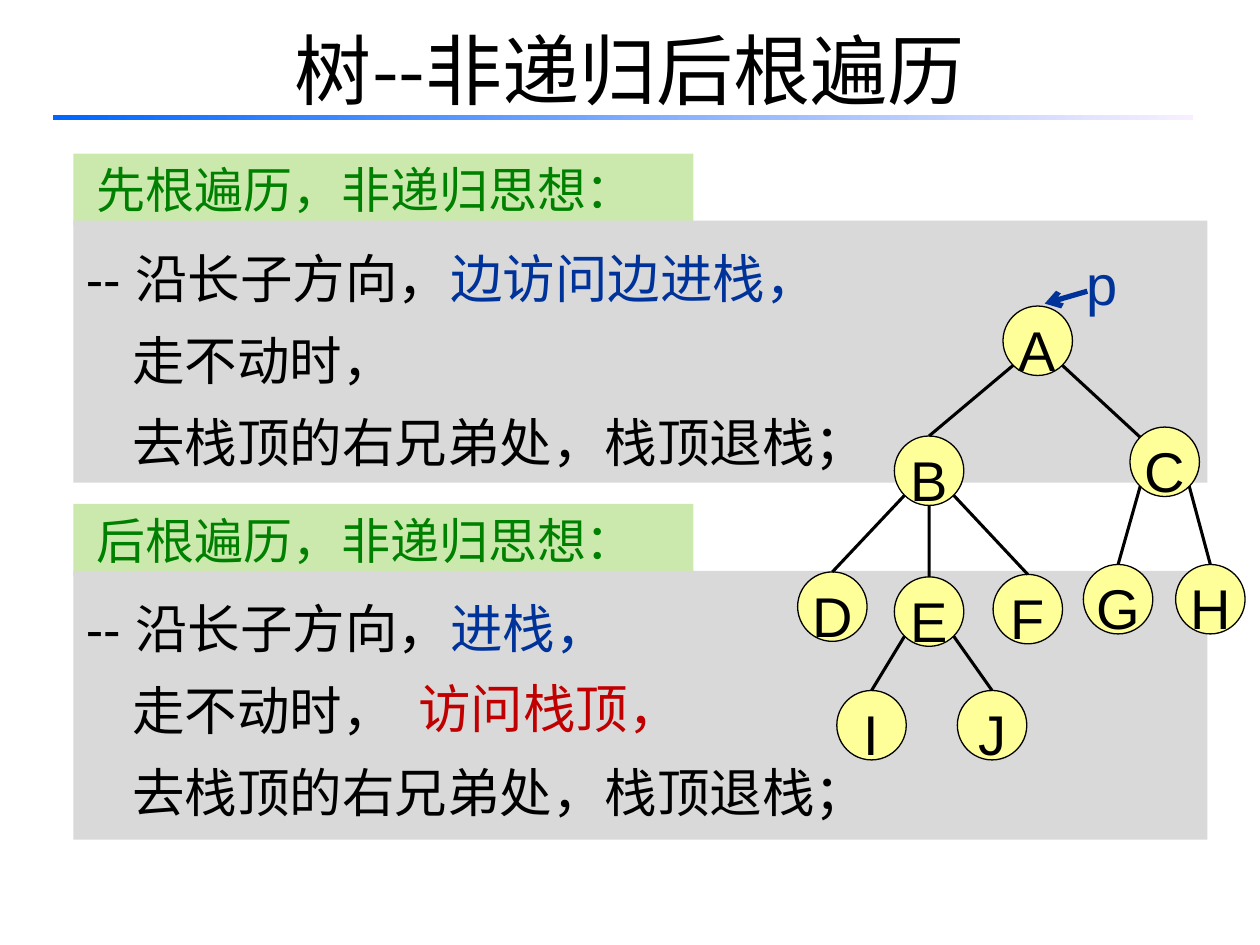
from math import sqrt
from lxml.etree import SubElement
from pptx import Presentation
from pptx.dml.color import RGBColor
from pptx.enum.shapes import MSO_CONNECTOR, MSO_SHAPE
from pptx.enum.text import MSO_ANCHOR, PP_ALIGN
from pptx.oxml.ns import qn
from pptx.util import Cm, Pt

COLORS = {"black": "000000", "green": "008000", "blue": "003399", "red": "C00000",
          "header": "CCE9AD", "panel": "D9D9D9", "node": "FFFF99",
          "bar_start": "0066FF", "bar_end": "F7EFFF"}
CJK = "Noto Sans CJK SC"

TITLE = "树--非递归后根遍历"
LAST_STEPS = [("走不动时，", "black")], [("去栈顶的右兄弟处，栈顶退栈；", "black")]
SECTIONS = [
    ("先根遍历，非递归思想：", 3.1, 4.45, 5.28, "边访问边进栈，"),
    ("后根遍历，非递归思想：", 10.16, 11.51, 5.42, "进栈，"),
]
NODES = {"A": (20.22, 6.17), "B": (18.03, 8.79), "C": (22.78, 8.61),
         "D": (16.08, 11.53), "E": (18.03, 11.63), "F": (20.02, 11.58),
         "G": (21.84, 11.38), "H": (23.7, 11.38),
         "I": (16.87, 13.92), "J": (19.3, 13.92)}
EDGES = [("A", "B", -1), ("A", "C", 1), ("B", "D", -1), ("B", "E", 0), ("B", "F", 1),
         ("C", "G", -1), ("C", "H", 1), ("E", "I", -1), ("E", "J", 1)]
SIZE = 1.4
DIAG = SIZE / 2 / sqrt(2)

prs = Presentation()
prs.slide_width, prs.slide_height = Cm(25.4), Cm(19.05)
s = prs.slides.add_slide(prs.slide_layouts[6])


def rgb(name):
    return RGBColor.from_string(COLORS[name])


def add_text(sp, lines, size=30, font="Arial", align=PP_ALIGN.LEFT, spacing=None,
             anchor=MSO_ANCHOR.TOP, wrap=True, indents=(0,)):
    tf = sp.text_frame
    tf.word_wrap = wrap
    tf.vertical_anchor = anchor
    for i, line in enumerate(lines):
        p = tf.paragraphs[0] if i == 0 else tf.add_paragraph()
        p.alignment = align
        if spacing:
            p.line_spacing = spacing
        if indents[i % len(indents)]:
            p._p.get_or_add_pPr().set("marL", str(Cm(indents[i])))
        for text, color in line:
            r = p.add_run()
            r.text = text
            r.font.size = Pt(size)
            r.font.name = font
            r.font.color.rgb = rgb(color)
            SubElement(r._r.get_or_add_rPr(), qn("a:ea")).set("typeface", CJK)


def add_box(x, y, w, h, fill=None, kind=MSO_SHAPE.RECTANGLE):
    sp = s.shapes.add_shape(kind, Cm(x), Cm(y), Cm(w), Cm(h))
    sp.shadow.inherit = False
    sp.line.fill.background()
    if fill:
        sp.fill.solid()
        sp.fill.fore_color.rgb = rgb(fill)
    return sp


def add_label(x, y, w, h, text, color, **fmt):
    sp = s.shapes.add_textbox(Cm(x), Cm(y), Cm(w), Cm(h))
    add_text(sp, [[(text, color)]], **fmt)


def add_line(x1, y1, x2, y2, color="black", width=1.75):
    cx = s.shapes.add_connector(MSO_CONNECTOR.STRAIGHT, Cm(x1), Cm(y1), Cm(x2), Cm(y2))
    cx.line.color.rgb = rgb(color)
    cx.line.width = Pt(width)
    SubElement(cx._element.spPr, qn("a:effectLst"))
    return cx


for header, header_y, panel_y, panel_h, action in SECTIONS:
    add_text(add_box(1.48, header_y, 12.5, 1.45, "header"), [[(header, "green")]],
             size=28, indents=(0.22,))
    steps = [[("-- 沿长子方向，", "black"), (action, "blue")], *LAST_STEPS]
    add_text(add_box(1.48, panel_y, 22.86, panel_h, "panel"), steps,
             spacing=1.3, indents=(0, 0.94, 0.94))

add_label(1.27, -0.2, 22.86, 3.18, TITLE, "black", size=44, font=CJK,
          align=PP_ALIGN.CENTER, anchor=MSO_ANCHOR.MIDDLE)
bar = add_box(1.06, 2.32, 23, 0.1)
bar.fill.gradient()
bar.fill.gradient_angle = 0
for stop, position, color in zip(bar.fill.gradient_stops, (0, 1), ("bar_start", "bar_end")):
    stop.position = position
    stop.color.rgb = rgb(color)

circles = {}
for name, (x, y) in NODES.items():
    sp = circles[name] = add_box(x, y, SIZE, SIZE, "node", MSO_SHAPE.OVAL)
    sp.line.color.rgb = rgb("black")
    sp.line.width = Pt(0.75)
    add_text(sp, [[(name, "black")]], size=32, align=PP_ALIGN.CENTER, spacing=1.25,
             anchor=MSO_ANCHOR.MIDDLE, wrap=False)

for parent, child, side in EDGES:
    px, py = (v + SIZE / 2 for v in NODES[parent])
    cx, cy = (v + SIZE / 2 for v in NODES[child])
    start = px + side * DIAG, py + (DIAG if side else SIZE / 2)
    if child == "C":
        add_line(*start, cx - DIAG, cy - DIAG)
    else:
        add_line(*start, cx, cy - SIZE / 2).end_connect(circles[child], 0)

pointer = add_line(21.92, 5.87, 21.06, 6.12, "blue", 3)
SubElement(pointer.line._get_or_add_ln(), qn("a:tailEnd")).set("type", "arrow")
add_label(21.29, 5.28, 1.85, 1.22, "p", "blue", size=32, align=PP_ALIGN.CENTER, spacing=0.7)
add_label(8.18, 13.18, 5.87, 1.7, "访问栈顶，", "red", spacing=1.25, wrap=False)

prs.save("out.pptx")
